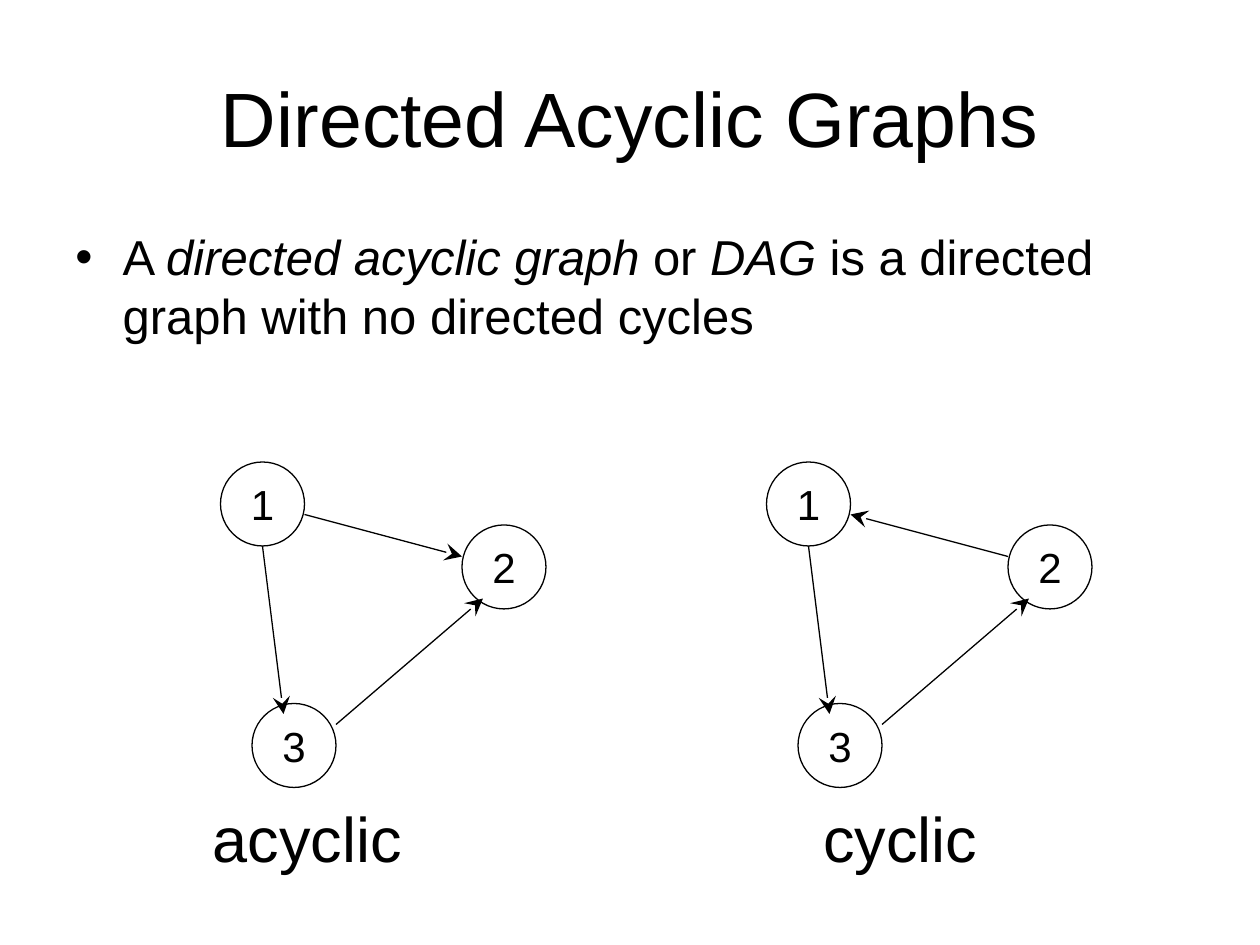
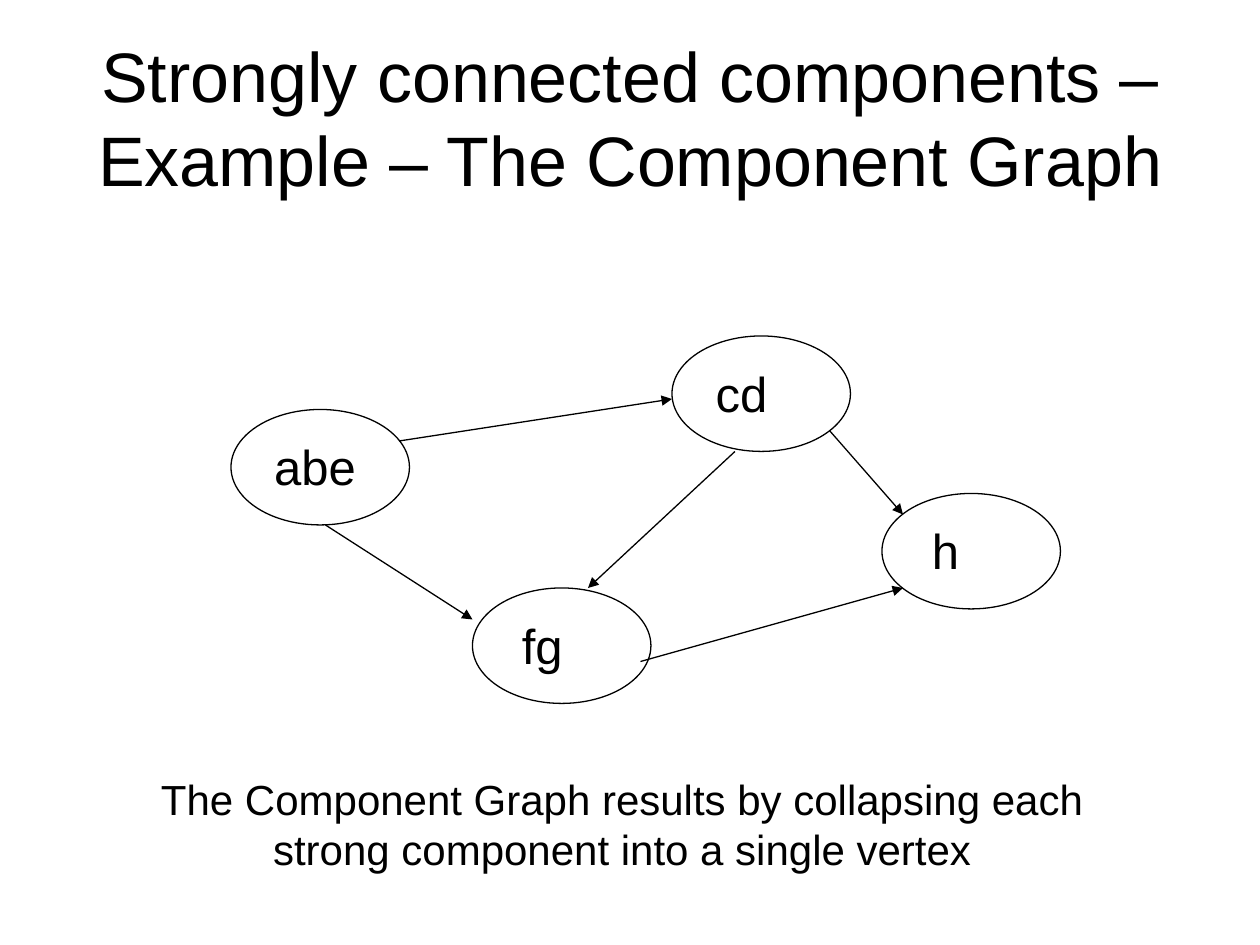
from dataclasses import dataclass

from lxml import etree
from pptx import Presentation
from pptx.dml.color import RGBColor
from pptx.enum import shapes, text
from pptx.oxml import ns
from pptx.util import Pt


@dataclass(frozen=True)
class Theme:
    """Colours, font and type sizes shared by the slides."""

    ink: RGBColor = RGBColor(0, 0, 0)
    font: str = "Arial"
    line: float = 0.75
    title: int = 44
    long_title: int = 40
    body: int = 28
    caption: int = 36
    node: int = 24
    note: int = 24


THEME = Theme()
TITLE_BOX = (36, 21.6, 648, 90)
CENTER = text.PP_ALIGN.CENTER
MIDDLE = text.MSO_ANCHOR.MIDDLE
TOP = text.MSO_ANCHOR.TOP
CIRCLE = 48
OVAL = (102, 66)
CAPTION_WIDTH = 150
NODES = {"1": (0, 0), "2": (138, 36), "3": (18, 138)}
EDGE_12 = ((48, 30), (138, 54))
SHARED_EDGES = [((24, 48), (36, 144)), ((66, 150), (150, 78))]
COMPONENTS = {
    "abe": (0, 42, 7.7),
    "cd": (252, 0, 8),
    "fg": (138, 144, 11.2),
    "h": (372, 90, 11.5),
}
COMPONENT_EDGES = [
    ((96, 60), (252, 36)),
    ((342, 54), (384, 102)),
    ((288, 66), (204, 144)),
    ((54, 108), (138, 162)),
    ((234, 186), (384, 144)),
]


def set_all(obj, values):
    """Set each named attribute of an object."""
    for name, value in values.items():
        setattr(obj, name, value)


def add_sub(parent, tag, **attrs):
    """Append a DrawingML element."""
    return etree.SubElement(parent, ns.qn(tag), attrs)


def write(sp, paras, size, align=CENTER, anchor=TOP, wrap=True, left=7.2):
    """Fill a shape with paragraphs made of (words, italic) runs."""
    tf = sp.text_frame
    set_all(tf, {
        "word_wrap": wrap, "vertical_anchor": anchor,
        "margin_left": Pt(left), "margin_right": Pt(7.2),
        "margin_top": Pt(3.6), "margin_bottom": Pt(3.6),
    })
    for i, runs in enumerate(paras):
        p = tf.add_paragraph() if i else tf.paragraphs[0]
        p.alignment = align
        for words, italic in runs:
            r = p.add_run()
            r.text = words
            set_all(r.font, {"name": THEME.font, "size": Pt(size), "italic": italic})
            r.font.color.rgb = THEME.ink
    return tf


def add_text(s, box, lines, size, **style):
    """Add a text box holding plain lines."""
    sp = s.shapes.add_textbox(*map(Pt, box))
    return write(sp, [[(line, None)] for line in lines], size, **style)


def add_ellipse(s, x, y, w, h):
    """Add an unfilled ellipse with a thin outline."""
    sp = s.shapes.add_shape(shapes.MSO_SHAPE.OVAL, *map(Pt, (x, y, w, h)))
    sp.shadow.inherit = False
    sp.fill.background()
    sp.line.color.rgb = THEME.ink
    sp.line.width = Pt(THEME.line)
    return sp


def add_arrows(s, x, y, edges, **head):
    """Add arrows whose ends are measured from a corner."""
    for (x1, y1), (x2, y2) in edges:
        ends = map(Pt, (x + x1, y + y1, x + x2, y + y2))
        line = s.shapes.add_connector(shapes.MSO_CONNECTOR.STRAIGHT, *ends)
        line.line.color.rgb = THEME.ink
        line.line.width = Pt(THEME.line)
        add_sub(line.line._get_or_add_ln(), "a:tailEnd", **head)
        add_sub(line._element.spPr, "a:effectLst")


def add_title(s, words, size):
    """Add the centred slide title."""
    add_text(s, TITLE_BOX, [words], size, anchor=MIDDLE)


def add_definition(s, box, runs):
    """Add one bulleted definition with a hanging indent."""
    sp = s.shapes.add_textbox(*map(Pt, box))
    tf = write(sp, [runs], THEME.body, align=text.PP_ALIGN.LEFT)
    p = tf.paragraphs[0]
    p.space_before = Pt(7)
    pr = p._p.get_or_add_pPr()
    pr.set("marL", str(Pt(27)))
    pr.set("indent", str(Pt(-27)))
    add_sub(pr, "a:buFont", typeface=THEME.font)
    add_sub(pr, "a:buChar", char="•")


def add_numbered_graph(s, x, y, edges):
    """Draw the three numbered nodes and their arrows."""
    for label, (dx, dy) in NODES.items():
        sp = add_ellipse(s, x + dx, y + dy, CIRCLE, CIRCLE)
        write(sp, [[(label, None)]], THEME.node, anchor=MIDDLE, wrap=False)
    add_arrows(s, x, y, edges, type="stealth", w="lg", len="lg")


def add_component_graph(s, x, y):
    """Draw the strong components and the arrows between them."""
    for label, (dx, dy, inset) in COMPONENTS.items():
        add_ellipse(s, x + dx, y + dy, *OVAL)
        add_text(s, (x + dx + 17, y + dy + 12, 80, 41), [label], THEME.body,
                 align=text.PP_ALIGN.LEFT, left=inset)
    add_arrows(s, x, y, COMPONENT_EDGES, type="triangle")


def build_dag_slide(s):
    """Define directed acyclic graphs and compare two graphs."""
    add_title(s, "Directed Acyclic Graphs", THEME.title)
    add_definition(s, (36, 126, 648, 96), [
        ("A ", False), ("directed acyclic graph", True), (" or ", False),
        ("DAG", True), (" is a directed graph with no directed cycles", False),
    ])
    graphs = [
        ("acyclic", 126, EDGE_12, -25.5),
        ("cyclic", 438, EDGE_12[::-1], 1.5),
    ]
    for caption, x, edge, dx in graphs:
        add_numbered_graph(s, x, 264, [*SHARED_EDGES, edge])
        add_text(s, (x + dx, 453.6, CAPTION_WIDTH, 50.4), [caption], THEME.caption)


def build_component_slide(s):
    """Show the component graph with a note below it."""
    add_title(s, "Strongly connected components – Example – The Component Graph",
              THEME.long_title)
    add_component_graph(s, 132, 192)
    add_text(s, (75.5, 438.5, 560, 65), [
        "The Component Graph results by collapsing each",
        "strong component into a single vertex",
    ], THEME.note)


def main():
    """Build both slides and save the deck."""
    prs = Presentation()
    set_all(prs, {"slide_width": Pt(720), "slide_height": Pt(540)})
    for build in (build_dag_slide, build_component_slide):
        build(prs.slides.add_slide(prs.slide_layouts[6]))
    prs.save("out.pptx")


if __name__ == "__main__":
    main()
